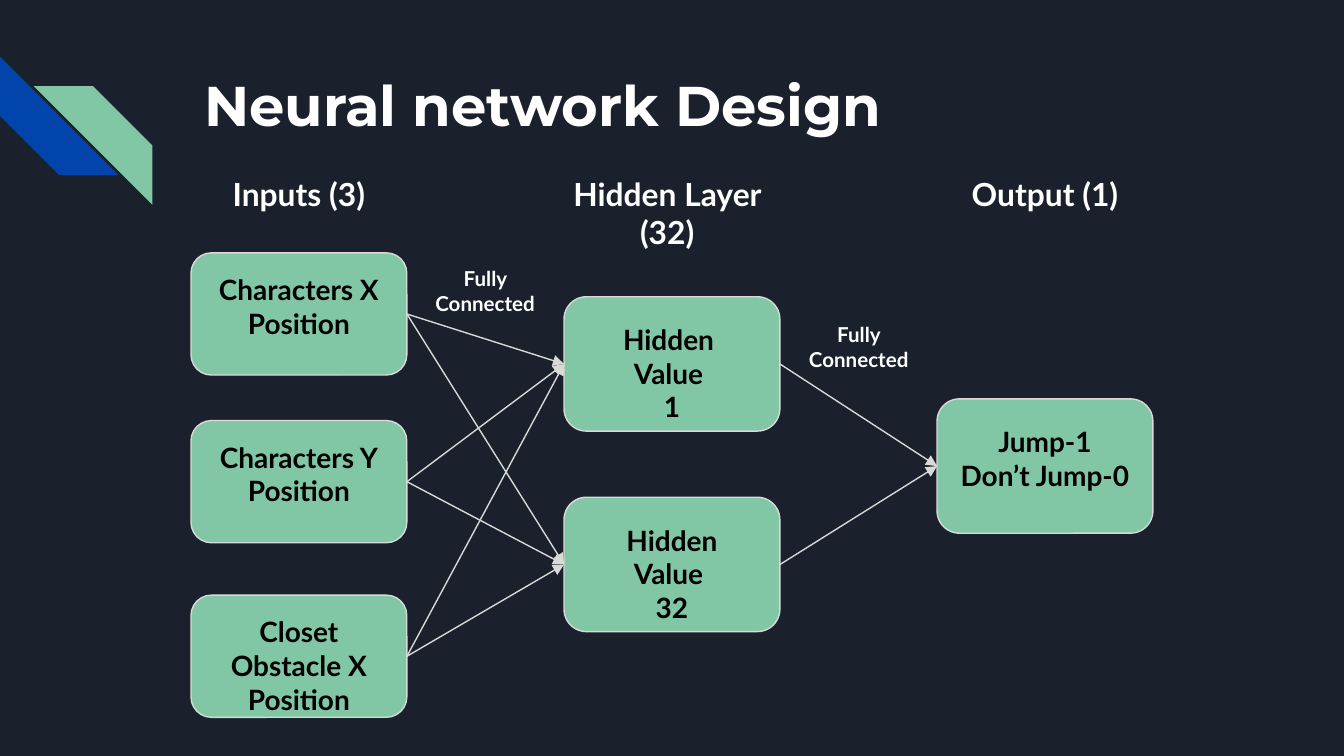
"""Build a slide that shows the layers of a small neural network."""
from itertools import product

from lxml.etree import SubElement
from pptx import Presentation
from pptx.dml.color import RGBColor
from pptx.enum.shapes import MSO_CONNECTOR, MSO_SHAPE
from pptx.enum.text import MSO_ANCHOR, MSO_AUTO_SIZE, PP_ALIGN
from pptx.oxml.ns import qn
from pptx.util import Cm, Pt

HUES = {"back": "1B212C", "blue": "0145AC", "green": "82C7A5",
        "line": "D9D9D9", "white": "FFFFFF", "black": "000000"}
FRAME = {"word_wrap": True, "auto_size": MSO_AUTO_SIZE.NONE,
         "vertical_anchor": MSO_ANCHOR.TOP,
         "margin_left": Cm(0.25), "margin_right": Cm(0.25),
         "margin_top": Cm(0.25), "margin_bottom": Cm(0.25)}
FONTS = {
    "title": ({"name": "Montserrat", "size": Pt(30), "bold": True}, "white"),
    "head": ({"name": "Lato", "size": Pt(17), "bold": True}, "white"),
    "node": ({"name": "Lato", "size": Pt(15), "bold": True}, "black"),
    "tag": ({"name": "Lato", "size": Pt(11), "bold": True}, "white"),
}
LEFT, STEP, WIDE = 3.61, 7.05, 4.08
LABEL = (3.74, 2.06)
SITES = {"left": 1, "right": 3}
LAYERS = [
    (2.31, [(4.78, "Characters X Position"),
            (7.95, "Characters Y\nPosition"),
            (11.25, "Closet Obstacle X Position")]),
    (2.54, [(5.61, "Hidden \nValue \n1"),
            (9.4, "Hidden\nValue \n32")]),
    (2.54, [(7.54, "Jump-1\nDon’t Jump-0")]),
]
HEADS = [(3.61, 1.27, "Inputs (3)"), (10.57, 1.42, "Hidden Layer (32)"),
         (17.71, 1.27, "Output (1)")]
TAGS = [(7.95, 4.78), (15.01, 5.84)]


def hue(name):
    return RGBColor.from_string(HUES[name])


def assign(item, values):
    for key, value in values.items():
        setattr(item, key, value)


def write(shape, text, kind, align=PP_ALIGN.CENTER):
    frame = shape.text_frame
    assign(frame, FRAME)
    frame.text = text
    style, shade = FONTS[kind]
    for para in frame.paragraphs:
        para.alignment = align
        for run in para.runs:
            assign(run.font, style)
            run.font.color.rgb = hue(shade)


def add_title(slide, text):
    title = slide.shapes.title
    assign(title, {"left": Cm(3.61), "top": Cm(1.09),
                   "width": Cm(19.56), "height": Cm(2.54)})
    write(title, text, "title", PP_ALIGN.LEFT)


def add_text(slide, box, text, kind):
    write(slide.shapes.add_textbox(*map(Cm, box)), text, kind)


def add_block(slide, form, box, fill, edge=None, turn=0):
    block = slide.shapes.add_shape(form, *map(Cm, box))
    block.shadow.inherit = False
    block.rotation = turn
    block.fill.solid()
    block.fill.fore_color.rgb = hue(fill)
    if edge:
        block.line.color.rgb = hue(edge)
        block.line.width = Pt(0.75)
    else:
        block.line.fill.background()
    return block


def add_arrow(slide, start, end):
    arrow = slide.shapes.add_connector(MSO_CONNECTOR.STRAIGHT, 0, 0, 0, 0)
    arrow.begin_connect(start, SITES["right"])
    arrow.end_connect(end, SITES["left"])
    arrow.line.color.rgb = hue("line")
    arrow.line.width = Pt(0.75)
    SubElement(arrow.line._get_or_add_ln(), qn("a:tailEnd"), type="triangle")
    SubElement(arrow._element.spPr, qn("a:effectLst"))


def add_layer(slide, left, high, items):
    return [add_block(slide, MSO_SHAPE.ROUNDED_RECTANGLE,
                      (left, top, WIDE, high), "green", "line")
            for top, _ in items]


def add_names(slide, left, high, items):
    wide, tall = LABEL
    for top, text in items:
        box = (left + (WIDE - wide) / 2, top + (high - tall) / 2, wide, tall)
        add_text(slide, box, text, "node")


def main():
    deck = Presentation()
    assign(deck, {"slide_width": Cm(25.4), "slide_height": Cm(14.29)})
    slide = deck.slides.add_slide(deck.slide_layouts[5])
    slide.background.fill.solid()
    slide.background.fill.fore_color.rgb = hue("back")

    stripe = MSO_SHAPE.DIAGONAL_STRIPE
    add_block(slide, stripe, (0, 1.07, 2.24, 2.24), "blue", turn=270)
    add_block(slide, stripe, (0.64, 1.63, 2.24, 2.24), "green", turn=90)
    add_title(slide, "Neural network Design")

    places = [(LEFT + i * STEP, *layer) for i, layer in enumerate(LAYERS)]
    nodes = [add_layer(slide, *place) for place in places]
    for left, high, text in HEADS:
        add_text(slide, (left, 3.05, WIDE, high), text, "head")
    for here, there in zip(nodes, nodes[1:]):
        for start, end in product(here, there):
            add_arrow(slide, start, end)
    for place in places:
        add_names(slide, *place)
    for left, top in TAGS:
        add_text(slide, (left, top, 2.44, 1.14), "Fully Connected", "tag")

    deck.save("out.pptx")


if __name__ == "__main__":
    main()
